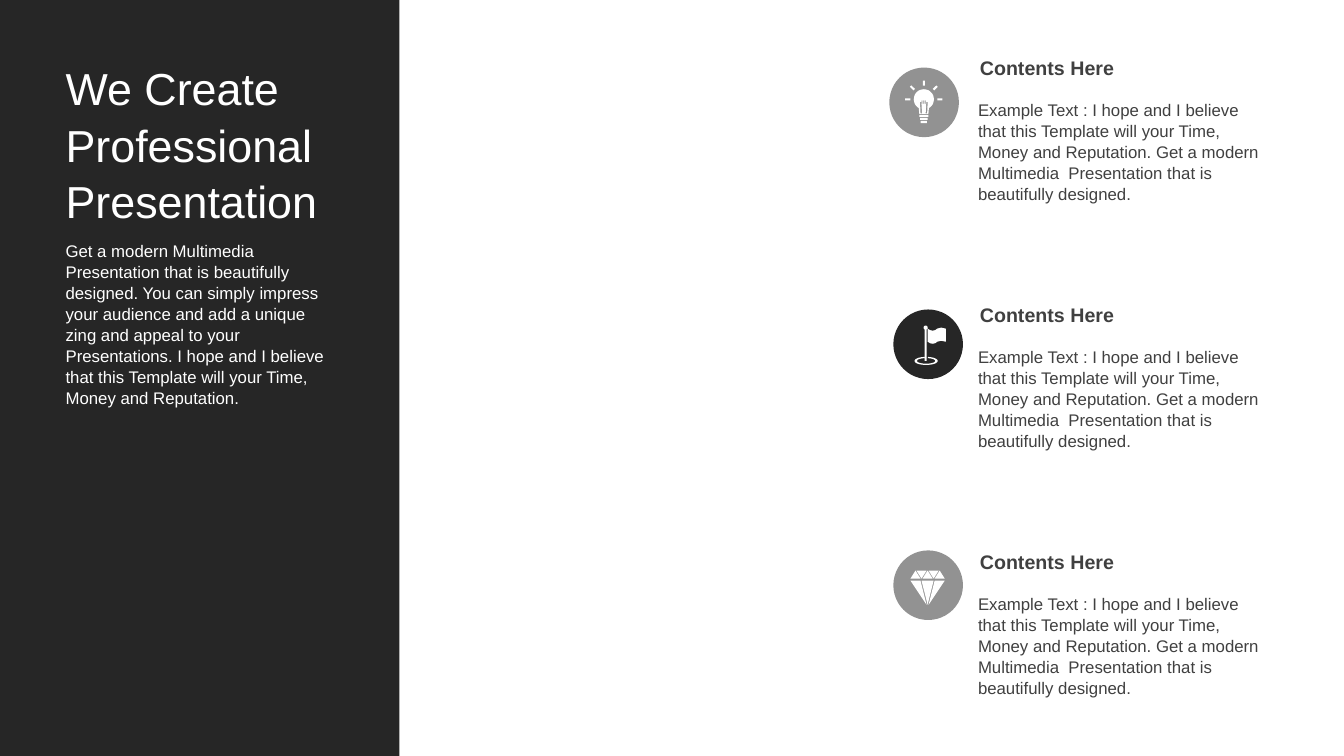
from math import cos, radians, sin

from pptx import Presentation
from pptx.dml.color import RGBColor
from pptx.enum.shapes import MSO_SHAPE
from pptx.enum.text import MSO_ANCHOR, MSO_AUTO_SIZE, PP_ALIGN
from pptx.util import Inches, Pt

DARK = RGBColor(0x26, 0x26, 0x26)
GREY = RGBColor(0x92, 0x92, 0x92)
INK = RGBColor(0x40, 0x40, 0x40)
WHITE = RGBColor(0xFF, 0xFF, 0xFF)
FONT = "Arial"
WIDTH, HEIGHT = Inches(13.33), Inches(7.5)
DISC = 5.18  # share of the slide width
MIL = 914.4  # icon unit: a thousandth of an inch

TITLE = "We Create\nProfessional Presentation"
INTRO = ("Get a modern Multimedia  Presentation that is beautifully designed. "
         "You can simply impress your audience and add a unique zing and appeal "
         "to your Presentations. I hope and I believe that this Template will "
         "your Time, Money and Reputation.")
HEAD = "Contents Here"
BODY = ("Example Text : I hope and I believe that this Template will your Time, "
        "Money and Reputation. Get a modern Multimedia  Presentation that is "
        "beautifully designed.")


def across(share):
    """Percent of the slide width as a length."""
    return round(WIDTH * share / 100)


def down(share):
    """Percent of the slide height as a length."""
    return round(HEIGHT * share / 100)


def place(shape, left, top, width, height):
    shape.left, shape.top = across(left), down(top)
    shape.width, shape.height = across(width), down(height)


def write(shape, text, size, color, bold=False, pads=(0.08, 0.05, 0.12, 0.05),
          pitch=1.04):
    frame = shape.text_frame
    frame.text = text
    frame.word_wrap = True
    frame.auto_size = MSO_AUTO_SIZE.NONE
    frame.vertical_anchor = MSO_ANCHOR.TOP
    (frame.margin_left, frame.margin_top,
     frame.margin_right, frame.margin_bottom) = map(Inches, pads)
    for para in frame.paragraphs:
        para.alignment = PP_ALIGN.LEFT
        para.line_spacing = pitch
        para.space_before = Pt(0)
        for run in para.runs:
            font = run.font
            font.name, font.size, font.bold = FONT, Pt(size), bold
            font.color.rgb = color


def add_text(slide, box, text, size, color, **style):
    shape = slide.shapes.add_textbox(0, 0, 0, 0)
    place(shape, *box)
    write(shape, text, size, color, **style)


def paint(shape, color):
    shape.shadow.inherit = False
    shape.fill.solid()
    shape.fill.fore_color.rgb = color
    shape.line.fill.background()


def arc(x, y, wide, high, start, end, step=10):
    """Points of an elliptic arc, with angles in degrees."""
    turn = step if end > start else -step
    return [(x + wide * cos(radians(a)), y + high * sin(radians(a)))
            for a in range(start, end + turn, turn)]


def rect(left, top, right, low):
    return [(left, top), (right, top), (right, low), (left, low)]


def bulb():
    x, y = 343, 315
    glass = arc(x, y, 100, 100, 120, 420) + [(x + 45, 460), (x - 45, 460)]
    wires = [[(x + s * a, b) for a, b in ((38, 340), (25, 340), (18, 455), (33, 455))]
             for s in (-1, 1)]
    slits = [rect(x + d - 4, 325, x + d + 4, 360) for d in (-18, 0, 18)]
    base = [rect(x - 45 + 7 * i, 470 + 30 * i, x + 45 - 7 * i, 490 + 30 * i)
            for i in range(3)]
    rays = []
    for angle in range(180, 361, 45):
        c, s = cos(radians(angle)), sin(radians(angle))
        rays.append([(x + r * c - t * s, y + r * s + t * c)
                     for r, t in ((135, -10), (185, -10), (185, 10), (135, 10))])
    return [glass, *wires, *slits, *base, *rays]


def flag():
    ring = arc(325, 510, 115, 40, 280, 620) + arc(325, 510, 90, 28, 620, 280)
    pole = arc(320, 180, 20, 20, 120, 420) + [(330, 510), (310, 510)]
    wave = [(340, 190), (365, 205), (390, 210), (415, 205), (435, 190),
            (475, 180), (520, 190)]
    cloth = wave + [(x, y + 130) for x, y in reversed(wave)]
    return [ring, pole, cloth]


def gem():
    crown = []
    for i in range(5):
        mid = 220 + 60 * i
        tip, base = (200, 280) if i % 2 == 0 else (280, 200)
        crown.append([(mid - 50, base), (mid, tip), (mid + 50, base)])
    facets = [[(170, 300), (270, 300), (330, 540)],
              [(280, 300), (400, 300), (340, 540)],
              [(410, 300), (510, 300), (350, 540)]]
    return crown + facets


def add_icon(slide, left, top, color, loops):
    """Disc with a white sign whose loops are measured from the disc's corner."""
    side = across(DISC)
    x, y = across(left), down(top)
    paint(slide.shapes.add_shape(MSO_SHAPE.OVAL, x, y, side, side), color)
    (first, *rest), *others = loops
    pen = slide.shapes.build_freeform(*first, scale=MIL)
    pen.add_line_segments(rest, close=True)
    for start, *points in others:
        pen.move_to(*start)
        pen.add_line_segments(points, close=True)
    paint(pen.convert_to_shape(x, y), WHITE)


def add_panel(slide, left, top, width, height):
    panel = slide.shapes.add_shape(MSO_SHAPE.RECTANGLE, 0, 0, 0, 0)
    place(panel, left, top, width, height)
    paint(panel, DARK)
    title = slide.shapes.title
    title.element.addprevious(panel.element)
    inner = left + 4.28
    place(title, inner, top + 7.73, 20.93, 21.6)
    write(title, TITLE, 32, WHITE, pads=(0.08, 0, 0.04, 0), pitch=1.05)
    add_text(slide, (inner, top + 31.07, 20.93, 22.93), INTRO, 12, WHITE)


def add_item(slide, left, top, width, shift, color, loops):
    add_text(slide, (left, top, width, 4.53), HEAD, 14, INK, bold=True,
             pads=(0.1, 0.05, 0.12, 0.05))
    add_text(slide, (left, top + 5.73, width, 14.8), BODY, 12, INK)
    add_icon(slide, left + shift[0], top + shift[1], color, loops)


def main():
    deck = Presentation()
    deck.slide_width, deck.slide_height = WIDTH, HEIGHT
    slide = deck.slides.add_slide(deck.slide_layouts[5])
    add_panel(slide, 0, 0, 29.71, 100)
    items = [((-6, 2.27), GREY, bulb()),
             ((-5.7, 1.6), DARK, flag()),
             ((-5.7, 0.8), GREY, gem())]
    for row, item in enumerate(items):
        add_item(slide, 72.17, 6.67 + 32.67 * row, 22.58, *item)
    deck.save("out.pptx")


if __name__ == "__main__":
    main()
